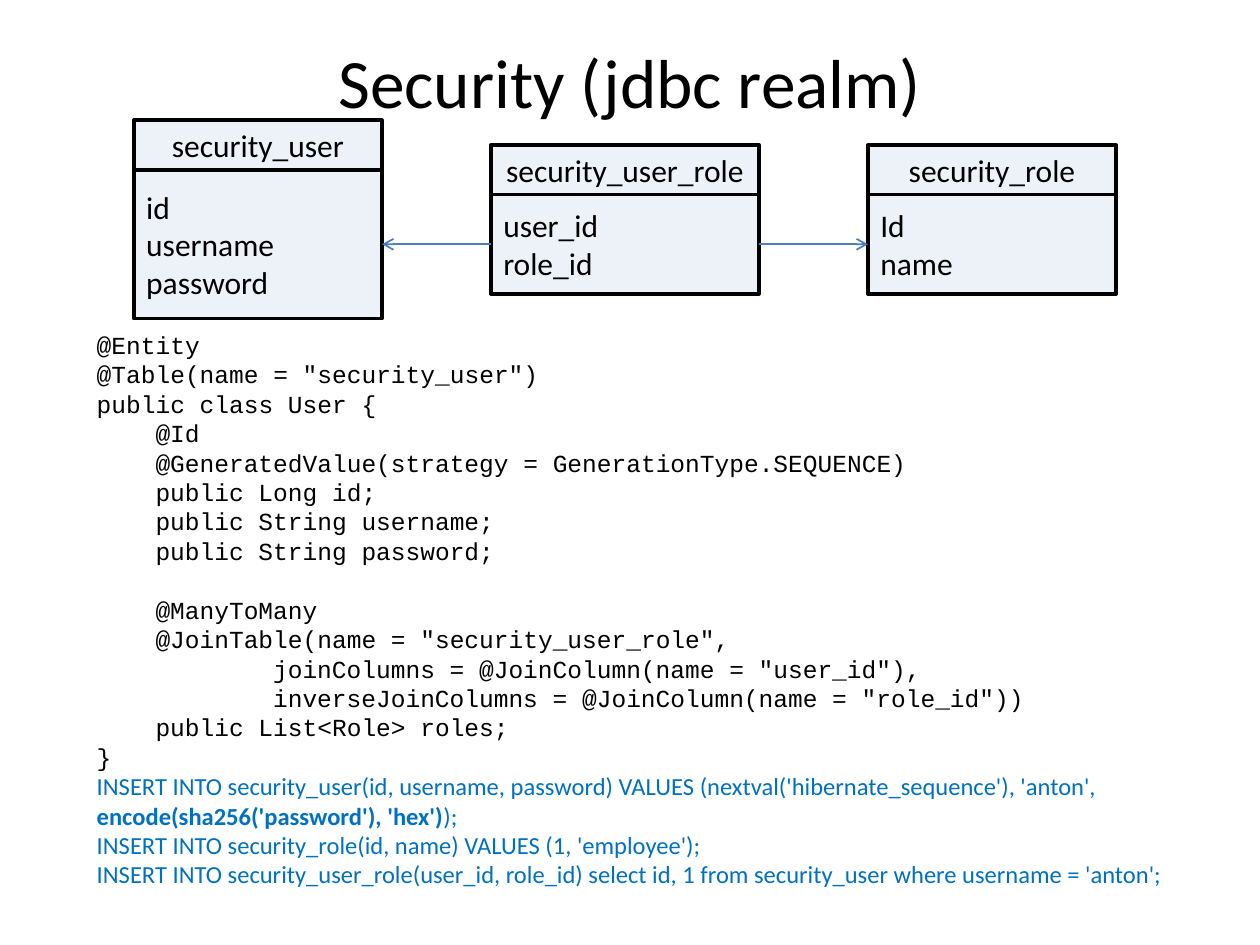
from dataclasses import dataclass

from lxml.etree import SubElement
from pptx import Presentation
from pptx.dml.color import RGBColor
from pptx.enum.shapes import MSO_CONNECTOR, MSO_SHAPE
from pptx.enum.text import MSO_ANCHOR, PP_ALIGN
from pptx.oxml.ns import qn
from pptx.util import Pt


@dataclass(frozen=True)
class Theme:
    """Colours, fonts and sizes of the slide."""

    ink: RGBColor = RGBColor(0, 0, 0)
    accent: RGBColor = RGBColor(0x4F, 0x81, 0xBD)
    arrow: RGBColor = RGBColor(0x4B, 0x7E, 0xBC)
    sql: RGBColor = RGBColor(0x00, 0x70, 0xC0)
    font: str = "Calibri"
    code_font: str = "Courier New"
    title_size: float = 39.6
    entity_size: float = 18
    code_size: float = 14
    code_leading: float = 16.8
    code_indent: float = 8.4
    row_height: float = 28.35
    fill_alpha: str = "10000"


def apply_format(target, values):
    """Set every attribute named in values on target."""
    for name, value in values.items():
        setattr(target, name, value)


class SlideBuilder:
    """Holds the theme and the current slide and draws its elements."""

    def __init__(self, slide, theme):
        """Keep the slide and the theme."""
        self.slide = slide
        self.theme = theme

    def run(self, paragraph, text, size, color=None, name=None, bold=False):
        """Add one formatted run to a paragraph."""
        run = paragraph.add_run()
        run.text = text
        apply_format(run.font, {
            "name": name or self.theme.font, "size": Pt(size), "bold": bold})
        run.font.color.rgb = color or self.theme.ink

    def title(self, text, left, top, width, height):
        """Place and fill the title placeholder."""
        title = self.slide.shapes.title
        apply_format(title, {"left": Pt(left), "top": Pt(top),
                             "width": Pt(width), "height": Pt(height)})
        title.text_frame.vertical_anchor = MSO_ANCHOR.MIDDLE
        paragraph = title.text_frame.paragraphs[0]
        paragraph.alignment = PP_ALIGN.CENTER
        self.run(paragraph, text, self.theme.title_size)

    def box(self, lines, left, top, width, height, alignment):
        """Draw a tinted, outlined rectangle with one paragraph per line."""
        shape = self.slide.shapes.add_shape(
            MSO_SHAPE.RECTANGLE, Pt(left), Pt(top), Pt(width), Pt(height))
        shape.shadow.inherit = False
        shape.fill.solid()
        shape.fill.fore_color.rgb = self.theme.accent
        color = shape.fill._xPr.find(qn("a:solidFill"))[0]
        SubElement(color, qn("a:alpha"), val=self.theme.fill_alpha)
        shape.line.color.rgb = self.theme.ink
        shape.line.width = Pt(2)
        frame = shape.text_frame
        apply_format(frame, {"word_wrap": True, "vertical_anchor": MSO_ANCHOR.MIDDLE})
        for index, line in enumerate(lines):
            paragraph = frame.add_paragraph() if index else frame.paragraphs[0]
            paragraph.alignment = alignment
            self.run(paragraph, line, self.theme.entity_size)
        return shape

    def entity(self, name, columns, left, width, middle):
        """Draw a header above a column list centred on middle; return the list."""
        row = self.theme.row_height
        height = row * len(columns)
        top = middle - height / 2
        self.box([name], left, top - row, width, row, PP_ALIGN.CENTER)
        return self.box(columns, left, top, width, height, PP_ALIGN.LEFT)

    def arrow(self, start, start_site, end, end_site):
        """Join two shapes with an arrow that points at end."""
        connector = self.slide.shapes.add_connector(
            MSO_CONNECTOR.STRAIGHT, 0, 0, 0, 0)
        connector.begin_connect(start, start_site)
        connector.end_connect(end, end_site)
        connector.line.color.rgb = self.theme.arrow
        connector.line.width = Pt(1)
        SubElement(connector.line._get_or_add_ln(), qn("a:tailEnd"), type="arrow")
        SubElement(connector._element.spPr, qn("a:effectLst"))

    def listing(self, code, statements, left, top, width, height):
        """Write indented code lines followed by SQL statements."""
        theme = self.theme
        frame = self.slide.shapes.add_textbox(
            Pt(left), Pt(top), Pt(width), Pt(height)).text_frame
        frame.word_wrap = True
        paragraphs = [frame.paragraphs[0]]
        paragraphs += [frame.add_paragraph() for _ in (code + statements)[1:]]
        for paragraph in paragraphs:
            paragraph.line_spacing = Pt(theme.code_leading)
        for paragraph, (indent, gap, text) in zip(paragraphs, code):
            paragraph.space_before = Pt(gap * theme.code_leading)
            margin = Pt(indent * theme.code_indent)
            paragraph._p.get_or_add_pPr().set("marL", str(margin))
            self.run(paragraph, text, theme.code_size, name=theme.code_font)
        for paragraph, parts in zip(paragraphs[len(code):], statements):
            for text, bold in parts:
                self.run(paragraph, text, theme.code_size, theme.sql, bold=bold)


CODE = [
    (0, 0, "@Entity"),
    (0, 0, '@Table(name = "security_user")'),
    (0, 0, "public class User {"),
    (4, 0, "@Id"),
    (4, 0, "@GeneratedValue(strategy = GenerationType.SEQUENCE)"),
    (4, 0, "public Long id;"),
    (4, 0, "public String username;"),
    (4, 0, "public String password;"),
    (4, 1, "@ManyToMany"),
    (4, 0, '@JoinTable(name = "security_user_role",'),
    (12, 0, 'joinColumns = @JoinColumn(name = "user_id"),'),
    (12, 0, 'inverseJoinColumns = @JoinColumn(name = "role_id"))'),
    (4, 0, "public List<Role> roles;"),
    (0, 0, "}"),
]

STATEMENTS = [
    [("INSERT INTO security_user(id, username, password) VALUES "
      "(nextval('hibernate_sequence'), 'anton', ", False),
     ("encode(sha256('password'), 'hex')", True),
     (");", False)],
    [("INSERT INTO security_role(id, name) VALUES (1, 'employee');", False)],
    [("INSERT INTO security_user_role(user_id, role_id) select id, 1 "
      "from security_user where username = 'anton';", False)],
]


def main():
    """Build and save the presentation."""
    presentation = Presentation()
    apply_format(presentation, {"slide_width": Pt(720), "slide_height": Pt(540)})
    slide = presentation.slides.add_slide(presentation.slide_layouts[5])
    builder = SlideBuilder(slide, Theme())
    builder.title("Security (jdbc realm)", 36, 21.6, 648, 49.7)
    middle = 139.6
    user = builder.entity(
        "security_user", ["id", "username", "password"], 76.5, 141.8, middle)
    user_role = builder.entity(
        "security_user_role", ["user_id", "role_id"], 280.5, 153.2, middle)
    role = builder.entity("security_role", ["Id", "name"], 496, 141.8, middle)
    builder.arrow(user_role, 1, user, 3)
    builder.arrow(user_role, 3, role, 1)
    builder.listing(CODE, STATEMENTS, 48.2, 185, 635, 329.8)
    presentation.save("out.pptx")


if __name__ == "__main__":
    main()
